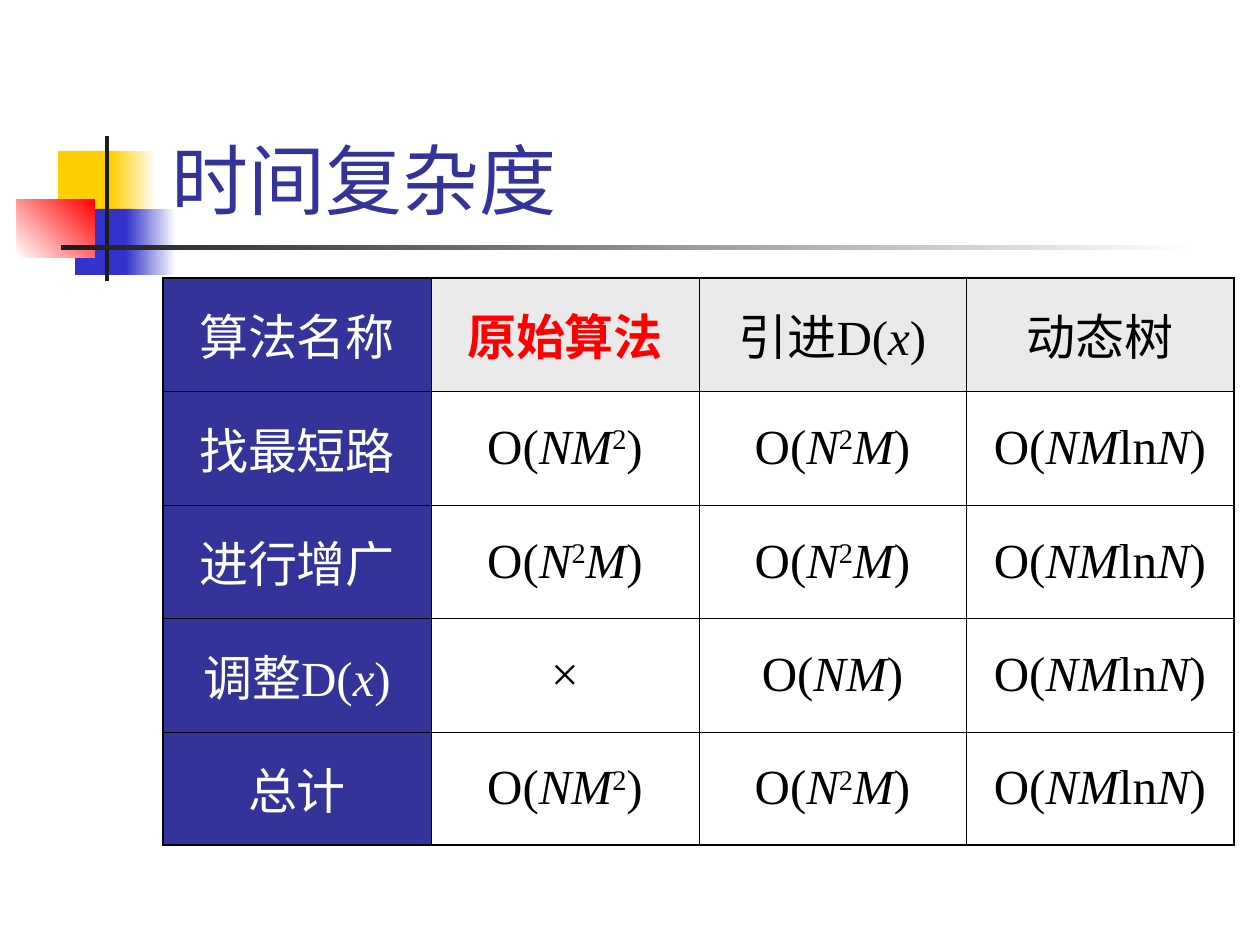
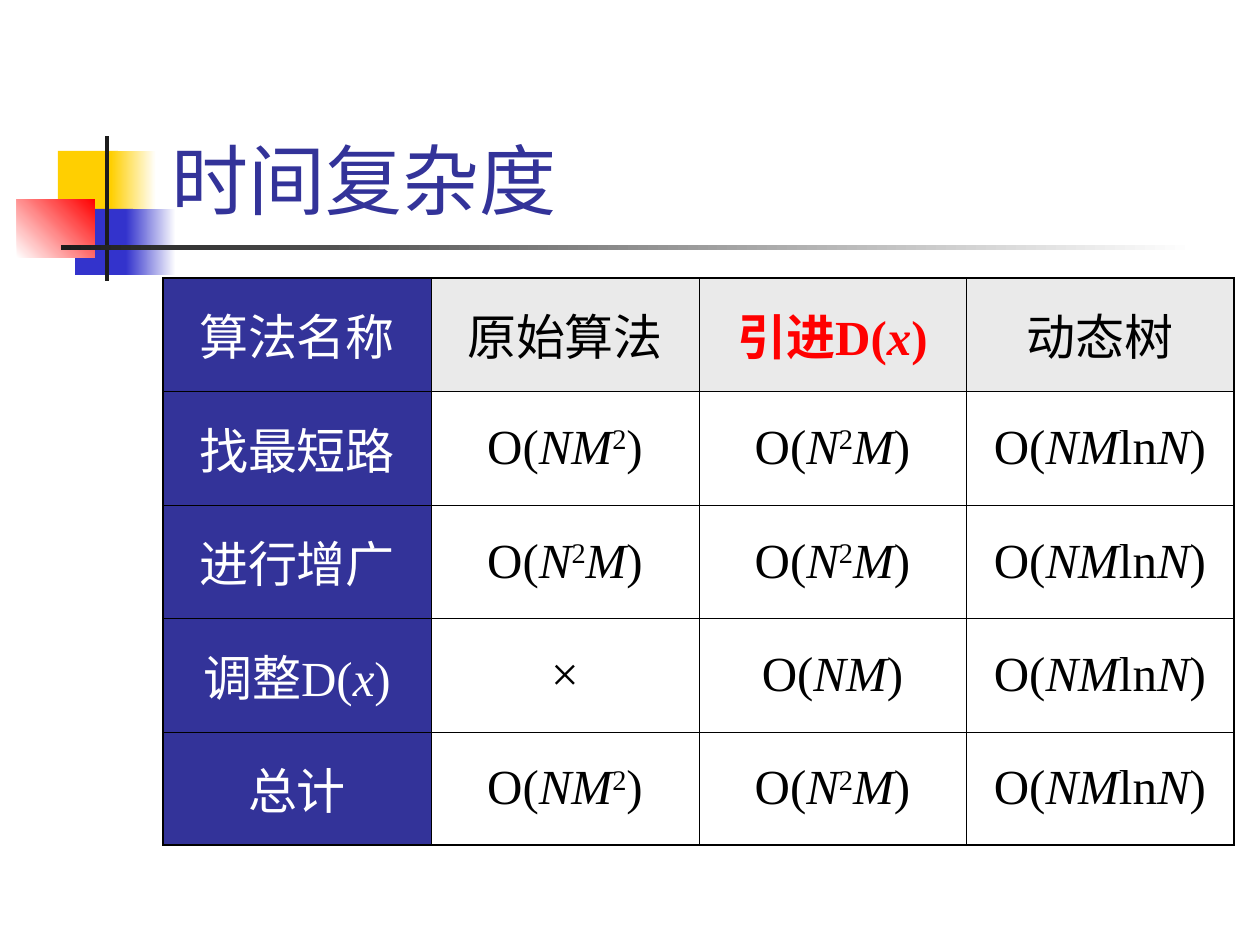
from dataclasses import dataclass
from itertools import groupby
from typing import Optional

from lxml.etree import SubElement
from pptx import Presentation
from pptx.dml.color import RGBColor as Rgb
from pptx.enum.lang import MSO_LANGUAGE_ID as Language
from pptx.enum.shapes import MSO_SHAPE as Preset
from pptx.enum.text import MSO_ANCHOR as Anchor, PP_ALIGN as Align
from pptx.oxml.ns import qn
from pptx.util import Emu, Pt

PX_PER_INCH = 126


def px(count: int) -> Emu:
    return Emu(round(count * 914400 / PX_PER_INCH))


# Theme
@dataclass(frozen=True)
class Theme:
    font: str = "Times New Roman"
    title_size: int = 44
    cell_size: int = 28
    outer_line: float = 1.08
    inner_line: float = 0.45
    navy: str = "333399"
    blue: str = "3333CC"
    yellow: str = "FFCF01"
    red: str = "FF0000"
    charcoal: str = "1C1C1C"
    gray: str = "EAEAEA"
    white: str = "FFFFFF"
    black: str = "000000"


THEME = Theme()


@dataclass(frozen=True)
class Area:
    left: int
    top: int
    width: int
    height: int

    def emu(self) -> tuple[Emu, Emu, Emu, Emu]:
        return px(self.left), px(self.top), px(self.width), px(self.height)


@dataclass(frozen=True)
class Block:
    area: Area
    color: str
    fade_to: Optional[str] = None
    angle: int = 0


@dataclass(frozen=True)
class TextStyle:
    size: int
    color: str
    bold: bool = False


# Shared ornament, back to front
ORNAMENT = [
    Block(Area(58, 151, 60, 66), THEME.yellow),
    Block(Area(111, 151, 45, 66), THEME.yellow, THEME.white),
    Block(Area(75, 209, 58, 66), THEME.blue),
    Block(Area(126, 209, 50, 66), THEME.blue, THEME.white),
    Block(Area(17, 199, 78, 59), THEME.white, THEME.red, angle=45),
    Block(Area(105, 136, 4, 145), THEME.charcoal),
    Block(Area(61, 245, 1134, 5), THEME.charcoal, THEME.white),
]
TITLE = "时间复杂度"
TITLE_AREA = Area(159, 29, 1074, 202)

# Table content: variables are set in italics, digits as exponents
TABLE_AREA = Area(163, 278, 1071, 567)
VARIABLES = "NMx"
COMPLEXITIES = [
    ["算法名称", "原始算法", "引进D(x)", "动态树"],
    ["找最短路", "O(NM2)", "O(N2M)", "O(NMlnN)"],
    ["进行增广", "O(N2M)", "O(N2M)", "O(NMlnN)"],
    ["调整D(x)", "×", "O(NM)", "O(NMlnN)"],
    ["总计", "O(NM2)", "O(N2M)", "O(NMlnN)"],
]
HIGHLIGHTED_COLUMNS = [1, 2]


def draw_block(page, block: Block) -> None:
    shape = page.shapes.add_shape(Preset.RECTANGLE, *block.area.emu())
    shape.shadow.inherit = False
    shape.line.fill.background()
    if block.fade_to is None:
        shape.fill.solid()
        shape.fill.fore_color.rgb = Rgb.from_string(block.color)
        return
    shape.fill.gradient()
    shape.fill.gradient_angle = block.angle
    for stop, color in zip(shape.fill.gradient_stops, (block.color, block.fade_to)):
        stop.color.rgb = Rgb.from_string(color)


def add_span(para, text: str, style: TextStyle, italic: bool = False):
    span = para.add_run()
    span.text = text
    font = span.font
    font.name = THEME.font
    font.size = Pt(style.size)
    font.bold = style.bold
    font.italic = italic
    font.color.rgb = Rgb.from_string(style.color)
    font.language_id = Language.SIMPLIFIED_CHINESE
    return span


def add_formula(para, formula: str, style: TextStyle) -> None:
    def kind(letter: str) -> tuple[bool, bool]:
        return letter in VARIABLES, letter.isdigit()

    for (variable, exponent), letters in groupby(formula, kind):
        span = add_span(para, "".join(letters), style, italic=variable)
        if exponent:
            span.font._element.set("baseline", "30000")


def draw_title(page) -> None:
    box = page.shapes.add_textbox(*TITLE_AREA.emu())
    frame = box.text_frame
    frame.word_wrap = True
    frame.vertical_anchor = Anchor.BOTTOM
    add_span(frame.paragraphs[0], TITLE, TextStyle(THEME.title_size, THEME.navy))


def set_borders(cell, outer: dict[str, bool]) -> None:
    properties = cell._tc.get_or_add_tcPr()
    for side, is_outer in outer.items():
        width = THEME.outer_line if is_outer else THEME.inner_line
        line = SubElement(properties, qn(f"a:ln{side}"), w=str(Pt(width)))
        fill = SubElement(line, qn("a:solidFill"))
        SubElement(fill, qn("a:srgbClr"), val=THEME.black)


def split(total: int, count: int) -> list[int]:
    edges = [round(total * index / count) for index in range(count + 1)]
    return [end - start for start, end in zip(edges, edges[1:])]


def cell_look(row: int, column: int, highlighted: int) -> tuple[Optional[str], TextStyle]:
    """Return the fill and the text style of a cell."""
    size = THEME.cell_size
    if column == 0:
        return THEME.navy, TextStyle(size, THEME.white)
    if row > 0:
        return None, TextStyle(size, THEME.black)
    if column == highlighted:
        return THEME.gray, TextStyle(size, THEME.red, bold=True)
    return THEME.gray, TextStyle(size, THEME.black)


def draw_table(page, highlighted: int) -> None:
    row_count, column_count = len(COMPLEXITIES), len(COMPLEXITIES[0])
    table = page.shapes.add_table(row_count, column_count, *TABLE_AREA.emu()).table
    table.first_row = table.horz_banding = False
    for column, width in zip(table.columns, split(TABLE_AREA.width, column_count)):
        column.width = px(width)
    for row, height in zip(table.rows, split(TABLE_AREA.height, row_count)):
        row.height = px(height)

    for r, formulas in enumerate(COMPLEXITIES):
        for c, formula in enumerate(formulas):
            cell = table.cell(r, c)
            fill, style = cell_look(r, c, highlighted)
            set_borders(cell, {"L": c == 0, "R": c == column_count - 1,
                               "T": r == 0, "B": r == row_count - 1})
            if fill is None:
                cell.fill.background()
            else:
                cell.fill.solid()
                cell.fill.fore_color.rgb = Rgb.from_string(fill)
            cell.vertical_anchor = Anchor.MIDDLE
            para = cell.text_frame.paragraphs[0]
            para.alignment = Align.CENTER
            add_formula(para, formula, style)


def main() -> None:
    deck = Presentation()
    deck.slide_width, deck.slide_height = px(1260), px(945)
    blank = deck.slide_layouts[6]
    for highlighted in HIGHLIGHTED_COLUMNS:
        page = deck.slides.add_slide(blank)
        for block in ORNAMENT:
            draw_block(page, block)
        draw_title(page)
        draw_table(page, highlighted)
    deck.save("out.pptx")


if __name__ == "__main__":
    main()
